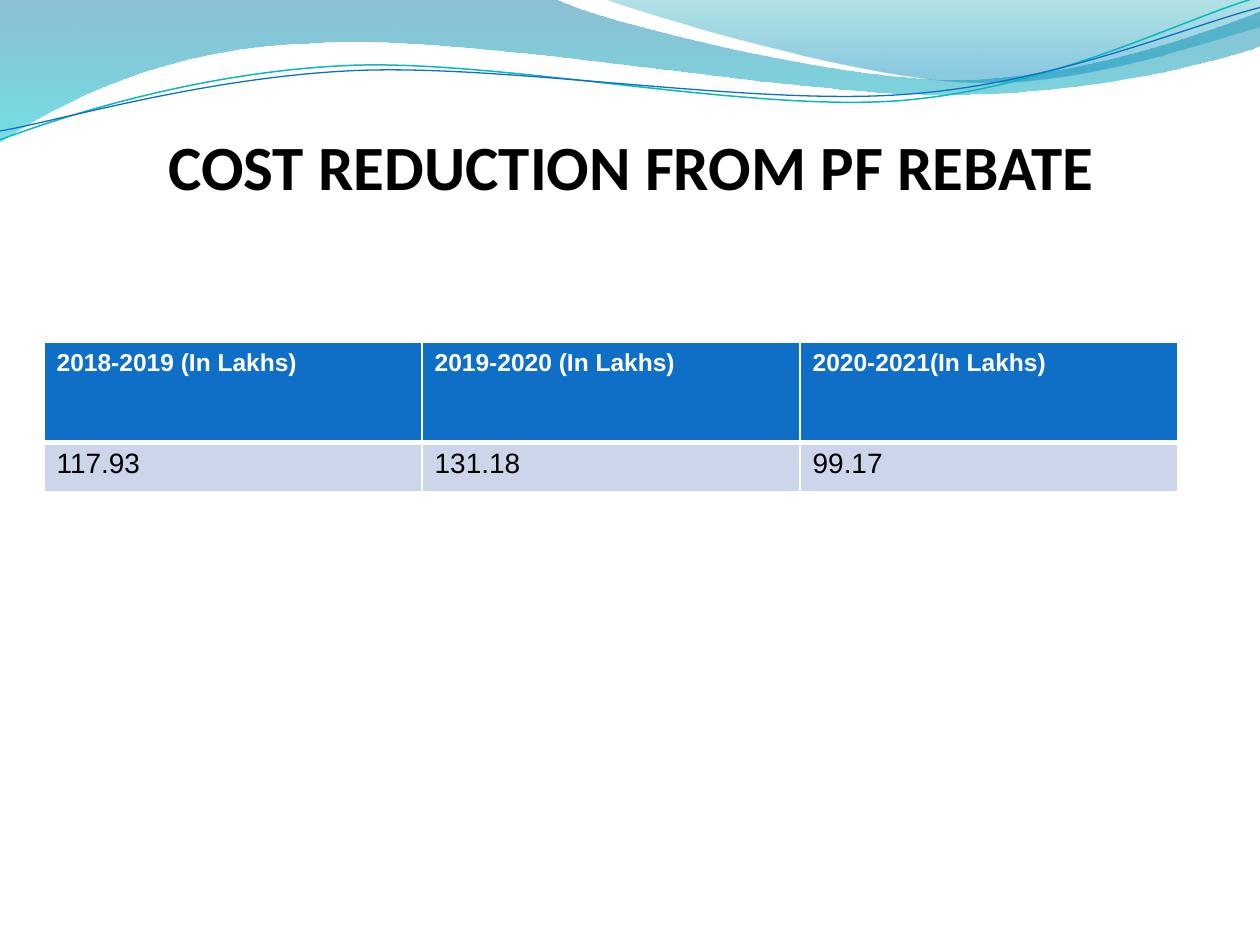
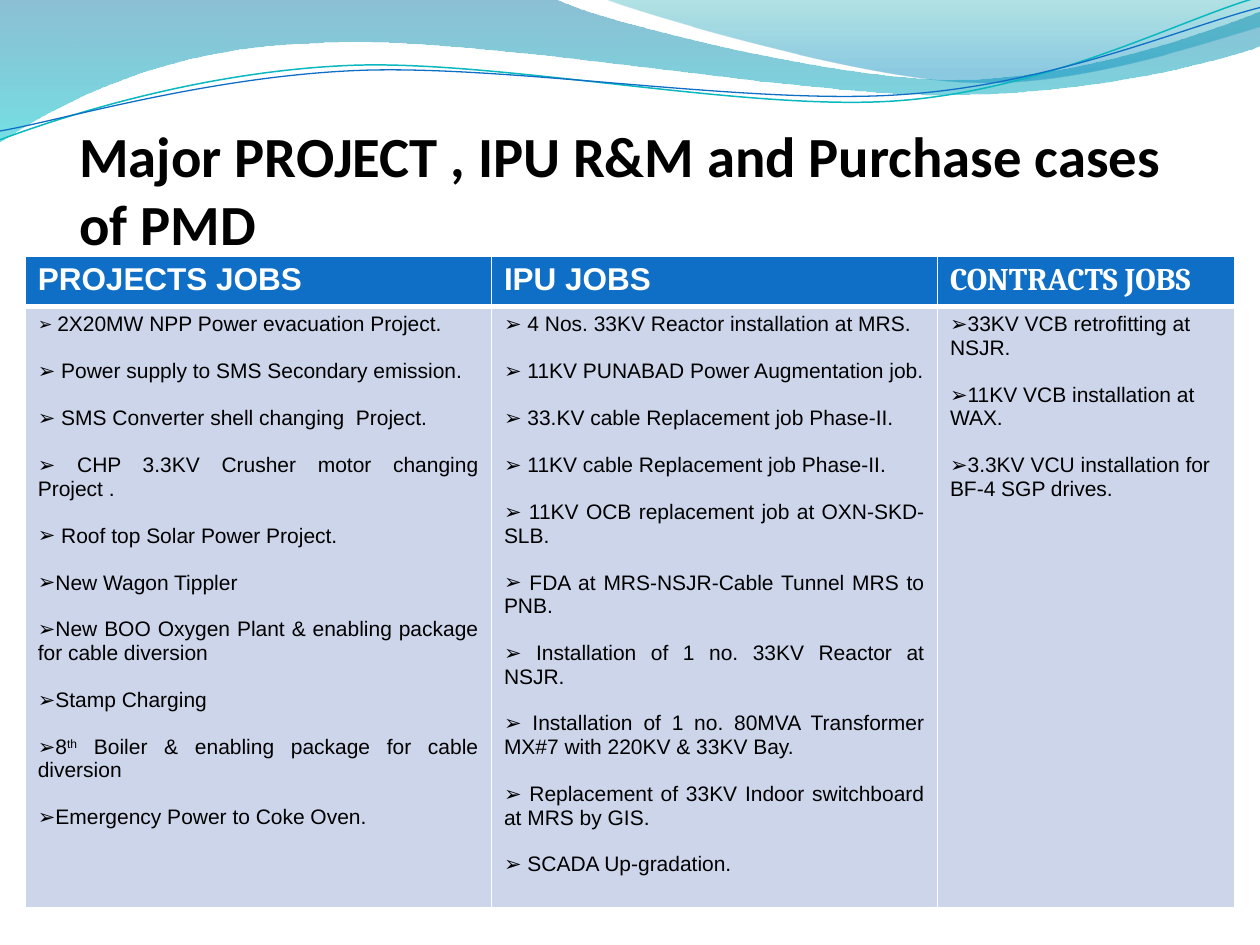
from dataclasses import dataclass
from typing import Optional

from pptx import Presentation
from pptx.dml.color import RGBColor
from pptx.enum.text import MSO_ANCHOR, PP_ALIGN
from pptx.oxml import parse_xml
from pptx.oxml.ns import nsdecls, qn
from pptx.util import Emu, Pt

# Scale: 100 px to the inch
PX = 9144
PAGE_WIDTH, PAGE_HEIGHT = 1000, 750

# Colours
BLACK = RGBColor(0x00, 0x00, 0x00)
WHITE = RGBColor(0xFF, 0xFF, 0xFF)
BLUE = RGBColor(0x0F, 0x6F, 0xC6)
PALE_BLUE = RGBColor(0xCC, 0xD5, 0xEA)
TEAL = RGBColor(0x0A, 0xB8, 0xBF)
DEEP_BLUE = RGBColor(0x00, 0x74, 0xA1)
CYAN = RGBColor(0x00, 0xC6, 0xCF)
SEA_GREEN = RGBColor(0x00, 0xA1, 0xA9)
SKY_BLUE = RGBColor(0x00, 0x8B, 0xBF)

TITLE_FONT, BODY_FONT, SERIF_FONT = "Calibri", "Arial", "Cambria"
BULLET = "➢"
ITEM_GAP = 13.4


@dataclass(frozen=True)
class Stop:
    position: float
    color: RGBColor
    opacity: int


@dataclass(frozen=True)
class Wave:
    """Each segment has two numbers (a line) or six (a cubic curve)."""
    start: tuple[int, int]
    segments: tuple[tuple[int, ...], ...]
    stops: tuple[Stop, ...] = ()
    line_color: Optional[RGBColor] = None
    line_width: float = 0


@dataclass(frozen=True)
class Span:
    text: str
    size: float = 12
    color: RGBColor = BLACK
    font: str = BODY_FONT
    bold: bool = False
    superscript: bool = False


@dataclass(frozen=True)
class Title:
    text: str
    left: int
    top: int
    width: int
    height: int
    size: float
    align: PP_ALIGN = PP_ALIGN.LEFT


@dataclass(frozen=True)
class Cell:
    paragraphs: tuple[tuple[Span, ...], ...]
    align: PP_ALIGN = PP_ALIGN.LEFT
    bulleted: bool = False


@dataclass(frozen=True)
class Grid:
    left: int
    top: int
    columns: tuple[int, ...]
    rows: tuple[int, ...]
    header: tuple[Cell, ...]
    body: tuple[Cell, ...]


WAVES = (
    Wave((0, 0), ((440, -1), (476, 17, 664, 63, 758, 63), (853, 63, 958, 26, 1000, 9),
                  (1001, 36), (983, 44, 870, 76, 746, 75), (622, 75, 382, 28, 257, 34),
                  (129, 36, 46, 83, -1, 113)),
         stops=(Stop(0, DEEP_BLUE, 45), Stop(1, CYAN, 55))),
    Wave((479, -1), ((509, 11, 682, 62, 769, 65), (856, 69, 961, 32, 1000, 21), (1000, 0)),
         stops=(Stop(0, SEA_GREEN, 30), Stop(0.8, SKY_BLUE, 45))),
    Wave((0, 111), ((48, 93, 158, 57, 277, 52), (395, 47, 593, 89, 713, 80),
                    (833, 71, 938, 15, 998, -2)), line_color=TEAL, line_width=0.85),
    Wave((0, 104), ((47, 96, 164, 61, 283, 56), (403, 51, 597, 84, 717, 75),
                    (836, 67, 941, 21, 1000, 6)), line_color=BLUE, line_width=0.75),
)


def px(length: int) -> Emu:
    return Emu(length * PX)


def bend_segments(shape, wave: Wave) -> None:
    """Join the three points of every cubic segment into one curve."""
    corners = iter(list(shape.element.spPr.iter(qn("a:lnTo"))))
    for segment in wave.segments:
        first = next(corners)
        if len(segment) == 2:
            continue
        curve = parse_xml(f'<a:cubicBezTo {nsdecls("a")}/>')
        first.addprevious(curve)
        for corner in (first, next(corners), next(corners)):
            curve.append(corner[0])
            corner.getparent().remove(corner)


def add_wave(page, wave: Wave) -> None:
    points = [pair for segment in wave.segments for pair in zip(segment[::2], segment[1::2])]
    builder = page.shapes.build_freeform(*wave.start, scale=PX)
    builder.add_line_segments(points, close=bool(wave.stops))
    shape = builder.convert_to_shape()
    bend_segments(shape, wave)
    shape.shadow.inherit = False
    if not wave.stops:
        shape.fill.background()
        shape.line.color.rgb = wave.line_color
        shape.line.width = Pt(wave.line_width)
        return
    shape.line.fill.background()
    shape.fill.gradient()
    shape.fill.gradient_angle = 270
    for target, stop in zip(shape.fill.gradient_stops, wave.stops):
        target.position = stop.position
        target.color.rgb = stop.color
    colors = shape.element.spPr.find(qn("a:gradFill")).iter(qn("a:srgbClr"))
    for color, stop in zip(colors, wave.stops):
        color.append(parse_xml(f'<a:alpha {nsdecls("a")} val="{stop.opacity * 1000}"/>'))


def add_span(para, span: Span) -> None:
    run = para.add_run()
    run.text = span.text
    run.font.name = span.font
    run.font.size = Pt(span.size)
    run.font.bold = span.bold
    run.font.color.rgb = span.color
    if span.superscript:
        run.font._element.set("baseline", "30000")


def add_title(page, title: Title) -> None:
    box = page.shapes.add_textbox(px(title.left), px(title.top), px(title.width), px(title.height))
    frame = box.text_frame
    frame.word_wrap = True
    frame.vertical_anchor = MSO_ANCHOR.BOTTOM
    frame.margin_left = frame.margin_right = frame.margin_bottom = 0
    frame.margin_top = px(5)
    para = frame.paragraphs[0]
    para.alignment = title.align
    add_span(para, Span(title.text, title.size, font=TITLE_FONT, bold=True))


def set_borders(cell, top: float, bottom: float) -> None:
    properties = cell._tc.get_or_add_tcPr()
    for index, (side, width) in enumerate((("L", 1), ("R", 1), ("T", top), ("B", bottom))):
        properties.insert(index, parse_xml(
            f'<a:ln{side} {nsdecls("a")} w="{Pt(width)}"><a:solidFill>'
            f'<a:srgbClr val="{WHITE}"/></a:solidFill></a:ln{side}>'))


def add_bullet(para) -> None:
    properties = para._p.get_or_add_pPr()
    properties.set("marL", "0")
    properties.set("indent", "0")
    properties.append(parse_xml(f'<a:buFont {nsdecls("a")} typeface="{BODY_FONT}"/>'))
    properties.append(parse_xml(f'<a:buChar {nsdecls("a")} char="{BULLET}"/>'))


def fill_cell(cell, content: Cell, color: RGBColor) -> None:
    cell.fill.solid()
    cell.fill.fore_color.rgb = color
    frame = cell.text_frame
    for index, spans in enumerate(content.paragraphs):
        para = frame.add_paragraph() if index else frame.paragraphs[0]
        para.alignment = content.align
        if content.bulleted:
            if index < len(content.paragraphs) - 1:
                para.space_after = Pt(ITEM_GAP)
            add_bullet(para)
        for span in spans:
            add_span(para, span)


def add_grid(page, grid: Grid) -> None:
    table = page.shapes.add_table(
        len(grid.rows), len(grid.columns), px(grid.left), px(grid.top),
        px(sum(grid.columns)), px(sum(grid.rows))).table
    for column, width in zip(table.columns, grid.columns):
        column.width = px(width)
    for row, height in zip(table.rows, grid.rows):
        row.height = px(height)
    for index, (head, body) in enumerate(zip(grid.header, grid.body)):
        fill_cell(table.cell(0, index), head, BLUE)
        set_borders(table.cell(0, index), top=1, bottom=3)
        fill_cell(table.cell(1, index), body, PALE_BLUE)
        set_borders(table.cell(1, index), top=3, bottom=1)


def header_cell(text: str, size: float, font: str = BODY_FONT) -> Cell:
    return Cell(((Span(text, size, WHITE, font, bold=True),),))


def job_cell(*items: str | tuple[Span, ...], align: PP_ALIGN = PP_ALIGN.JUSTIFY) -> Cell:
    paragraphs = tuple((Span(item),) if isinstance(item, str) else item for item in items)
    return Cell(paragraphs, align, bulleted=True)


# Slide 1: rebate by year
REBATE_TITLE = Title("COST REDUCTION FROM PF REBATE", 51, 36, 900, 125, 36, PP_ALIGN.CENTER)
REBATES = (("2018-2019 (In Lakhs)", "117.93"),
           ("2019-2020 (In Lakhs)", "131.18"),
           ("2020-2021(In Lakhs)", "99.17"))
REBATE_GRID = Grid(
    35, 272, (300,) * 3, (79, 39),
    header=tuple(header_cell(year, 14) for year, _ in REBATES),
    body=tuple(Cell(((Span(amount, 16),),)) for _, amount in REBATES))

# Slide 2: jobs by kind
JOBS_TITLE = Title("Major PROJECT , IPU R&M and Purchase cases of PMD", 63, 92, 900, 112, 32.4)
JOBS_GRID = Grid(
    20, 203, (370, 354, 236), (39, 477),
    header=(header_cell("PROJECTS JOBS", 18), header_cell("IPU JOBS", 18),
            header_cell("CONTRACTS JOBS", 18, SERIF_FONT)),
    body=(
        job_cell(
            (Span(" ", 10), Span("2X20MW NPP Power evacuation Project.")),
            " Power supply to SMS Secondary emission.",
            " SMS Converter shell changing  Project.",
            " CHP 3.3KV Crusher motor changing Project .",
            " Roof top Solar Power Project.",
            "New Wagon Tippler",
            "New BOO Oxygen Plant & enabling package for cable diversion",
            "Stamp Charging",
            (Span("8"), Span("th", superscript=True),
             Span(" Boiler & enabling package for cable diversion")),
            "Emergency Power to Coke Oven."),
        job_cell(
            " 4 Nos. 33KV Reactor installation at MRS.",
            " 11KV PUNABAD Power Augmentation job.",
            " 33.KV cable Replacement job Phase-II.",
            " 11KV cable Replacement job Phase-II.",
            " 11KV OCB replacement job at OXN-SKD-SLB.",
            " FDA at MRS-NSJR-Cable Tunnel MRS to PNB.",
            " Installation of 1 no. 33KV Reactor at NSJR.",
            " Installation of 1 no. 80MVA Transformer MX#7 with 220KV & 33KV Bay.",
            " Replacement of 33KV Indoor switchboard at MRS by GIS.",
            " SCADA Up-gradation."),
        job_cell(
            "33KV VCB retrofitting at NSJR.",
            "11KV VCB installation at WAX.",
            "3.3KV VCU installation for BF-4 SGP drives.",
            align=PP_ALIGN.LEFT)))


def main() -> None:
    deck = Presentation()
    deck.slide_width, deck.slide_height = px(PAGE_WIDTH), px(PAGE_HEIGHT)
    for title, grid in ((REBATE_TITLE, REBATE_GRID), (JOBS_TITLE, JOBS_GRID)):
        page = deck.slides.add_slide(deck.slide_layouts[6])
        for wave in WAVES:
            add_wave(page, wave)
        add_title(page, title)
        add_grid(page, grid)
    deck.save("out.pptx")


if __name__ == "__main__":
    main()
